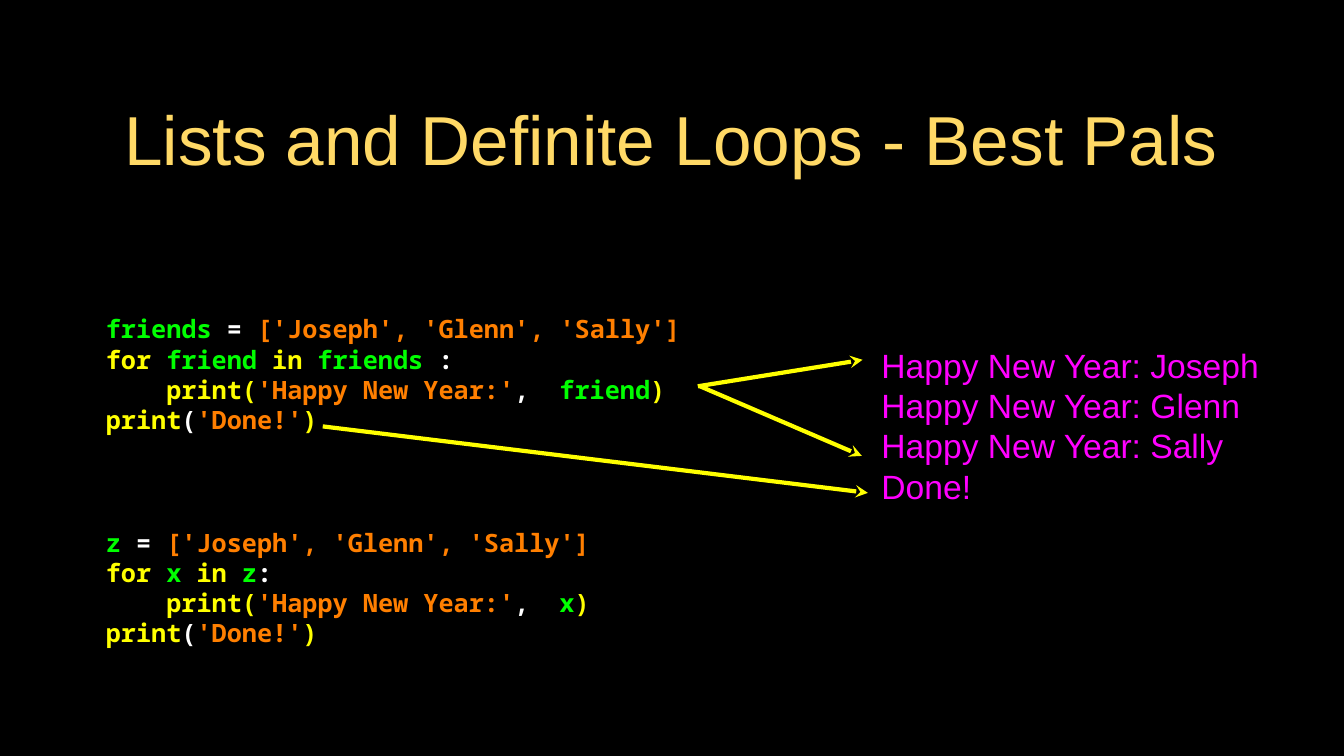
import pptx
import pptx.util
import pptx.dml.color
import pptx.enum.shapes
import pptx.enum.text
import pptx.oxml.ns
import lxml.etree

Pt = pptx.util.Pt
RGB = pptx.dml.color.RGBColor
ALIGN = pptx.enum.text.PP_ALIGN

BLACK = RGB(0x00, 0x00, 0x00)
WHITE = RGB(0xFF, 0xFF, 0xFF)
GOLD = RGB(0xFF, 0xD9, 0x66)
GREEN = RGB(0x00, 0xFF, 0x00)
ORANGE = RGB(0xFF, 0x7F, 0x00)
YELLOW = RGB(0xFF, 0xFF, 0x00)
MAGENTA = RGB(0xFF, 0x00, 0xFF)

TITLE = {"name": "Arial", "size": Pt(66)}
CODE = {"name": "Noto Sans Mono", "size": Pt(24), "bold": True}
OUTPUT = {"name": "Arial", "size": Pt(32)}

NAMES = "['Joseph', 'Glenn', 'Sally']"
GREETING = "Happy New Year:"


def add_text(s, box, lines, font, align=ALIGN.LEFT, line_spacing=None):
    """Write lines of (text, colour) runs, vertically centred in the box."""
    tf = s.shapes.add_textbox(*map(Pt, box)).text_frame
    frame = {"word_wrap": True, "vertical_anchor": pptx.enum.text.MSO_ANCHOR.MIDDLE,
             "margin_left": 0, "margin_right": 0, "margin_top": 0, "margin_bottom": 0}
    for key, value in frame.items():
        setattr(tf, key, value)
    for i, line in enumerate(lines):
        p = tf.add_paragraph() if i else tf.paragraphs[0]
        p.alignment = align
        p.line_spacing = line_spacing
        for text, colour in line:
            r = p.add_run()
            r.text = text
            for key, value in font.items():
                setattr(r.font, key, value)
            r.font.color.rgb = colour


def add_title(s, box):
    add_text(s, box, [[("Lists and Definite Loops - Best Pals", GOLD)]],
             TITLE, ALIGN.CENTER)


def add_loop_code(s, box, item, group, colon):
    """Greeting loop, with its own variable names."""
    lines = [
        [(group, GREEN), (" = ", WHITE), (NAMES, ORANGE)],
        [("for ", YELLOW), (item + " ", GREEN), ("in ", YELLOW),
         (group, GREEN), (colon, WHITE)],
        [("    print(", YELLOW), (f"'{GREETING}'", ORANGE), (",  ", WHITE),
         (item, GREEN), (")", YELLOW)],
        [("print", YELLOW), ("(", WHITE), ("'Done!'", ORANGE), (")", YELLOW)],
    ]
    add_text(s, box, lines, CODE, line_spacing=Pt(28.8))


def add_output(s, box):
    lines = [f"{GREETING} {name}" for name in ("Joseph", "Glenn", "Sally")]
    add_text(s, box, [[(line, MAGENTA)] for line in lines + ["Done!"]],
             OUTPUT, line_spacing=Pt(38.4))


def add_arrow(s, start, end):
    """Arrow from a line of code to the output it prints."""
    c = s.shapes.add_connector(pptx.enum.shapes.MSO_CONNECTOR.STRAIGHT,
                               *map(Pt, start + end))
    c.line.color.rgb = YELLOW
    c.line.width = Pt(4)
    qn = pptx.oxml.ns.qn
    lxml.etree.SubElement(c.line._get_or_add_ln(), qn("a:tailEnd"), type="stealth")
    lxml.etree.SubElement(c._element.spPr, qn("a:effectLst"))


def main():
    prs = pptx.Presentation()
    prs.slide_width, prs.slide_height = Pt(1280), Pt(720)
    s = prs.slides.add_slide(prs.slide_layouts[6])
    s.background.fill.solid()
    s.background.fill.fore_color.rgb = BLACK

    add_title(s, (90.7, 62, 1097.3, 137.5))

    # Two versions of the loop, one above the other
    left, width, height = 100.8, 573, 174.2
    add_loop_code(s, (left, 269.3, width, height), "friend", "friends", " :")
    add_loop_code(s, (left, 472.3, width, height), "x", "z", ":")

    # Printed result and the arrows that lead to it
    add_output(s, (839.5, 319, 389.5, 172))
    add_arrow(s, (664.6, 367.9), (821.5, 342.7))
    add_arrow(s, (666.7, 367.9), (820.8, 434.2))
    add_arrow(s, (307.4, 406.1), (826.6, 469.4))

    prs.save("out.pptx")


if __name__ == "__main__":
    main()
